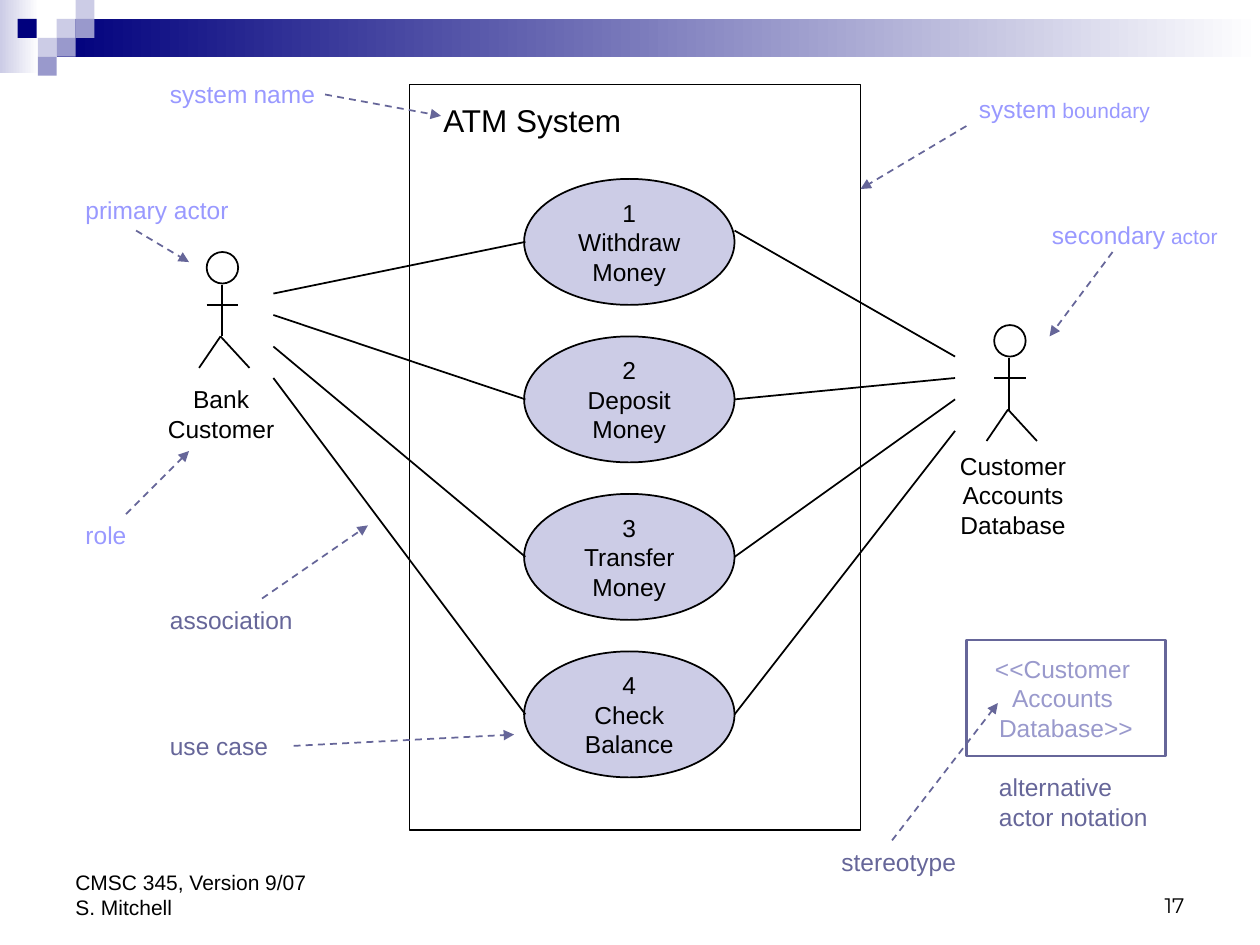
from pptx import Presentation
from pptx.dml.color import RGBColor
from pptx.enum.dml import MSO_LINE_DASH_STYLE as Dash
from pptx.enum.shapes import MSO_CONNECTOR as Conn, MSO_SHAPE as Kind
from pptx.enum.text import MSO_ANCHOR as Anchor, PP_ALIGN as Align
from pptx.oxml.ns import qn
from pptx.util import Pt
from lxml.etree import SubElement

PX = 9144
HEX = {"ink": "000000", "navy": "00007D", "pale": "CCCCE6", "mid": "9999CC",
       "slate": "666699", "lilac": "9999FF", "white": "FFFFFF"}
CASES = ["Withdraw Money", "Deposit Money", "Transfer Money", "Check Balance"]


def tint(name):
    """Return the named colour."""
    return RGBColor.from_string(HEX[name])


def shape(kit, kind, box, fill=None, edge=None, width=1):
    """Add a flat shape; a pair of fill names makes a gradient."""
    item = kit.add_shape(kind, *[n * PX for n in box])
    item.shadow.inherit = False
    if isinstance(fill, tuple):
        item.fill.gradient()
        item.fill.gradient_angle = 0
        for stop, name in zip(item.fill.gradient_stops, fill):
            stop.color.rgb = tint(name)
    elif fill:
        item.fill.solid()
        item.fill.fore_color.rgb = tint(fill)
    else:
        item.fill.background()
    if edge:
        item.line.color.rgb = tint(edge)
        item.line.width = Pt(width)
    else:
        item.line.fill.background()
    return item


def line(kit, ends, color="ink"):
    """Add a plain straight line."""
    item = kit.add_connector(Conn.STRAIGHT, *[n * PX for n in ends])
    item.line.color.rgb = tint(color)
    item.line.width = Pt(1)
    SubElement(item._element.spPr, qn("a:effectLst"))
    return item


def arrow(kit, ends):
    """Add a dashed callout arrow."""
    item = line(kit, ends, "slate")
    item.line.dash_style = Dash.DASH
    SubElement(item.line._get_or_add_ln(), qn("a:tailEnd"), type="triangle")


def write(item, lines, color="ink", size=14, align=Align.LEFT,
          anchor=Anchor.TOP, wrap=True, face="Arial"):
    """Fill a shape with lines, each a string or a list of sized runs."""
    frame = item.text_frame
    frame.word_wrap = wrap
    frame.vertical_anchor = anchor
    for i, text in enumerate(lines):
        para = frame.add_paragraph() if i else frame.paragraphs[0]
        para.alignment = align
        para.font.name = face
        para.font.size = Pt(size)
        para.font.color.rgb = tint(color)
        runs = [(text, None)] if isinstance(text, str) else text
        for part, pts in runs:
            run = para.add_run()
            run.text = part
            if pts:
                run.font.size = Pt(pts)


def label(kit, box, lines, color="ink", **style):
    """Add a text box."""
    write(kit.add_textbox(*[n * PX for n in box]), lines, color, **style)


def banner(kit, x, y):
    """Draw the gradient band and its mosaic of squares."""
    shape(kit, Kind.RECTANGLE, (x, y, 31, 58), ("pale", "white"))
    shape(kit, Kind.RECTANGLE, (x + 45, y + 15, 955, 30), ("navy", "white"))
    tiles = [(45, 15, "pale"), (60, 0, "pale"), (60, 15, "mid"), (30, 30, "pale"),
             (14, 15, "navy"), (45, 30, "mid"), (30, 45, "mid")]
    for dx, dy, fill in tiles:
        shape(kit, Kind.RECTANGLE, (x + dx, y + dy, 15, 15), fill)


def footer(kit, x, y):
    """Place the course credit and the page number."""
    label(kit, (x + 667, y, 233, 50), ["17"], size=12, align=Align.RIGHT,
          anchor=Anchor.BOTTOM, face="Montserrat")
    label(kit, (x, y, 233, 52), ["CMSC 345, Version 9/07", "S. Mitchell"],
          size=12, anchor=Anchor.BOTTOM)


def system(kit, x, y):
    """Draw the system boundary, its name and the use cases."""
    for i, case in enumerate(CASES):
        oval = shape(kit, Kind.OVAL, (x + 91, y + 75 + 125 * i, 167, 100), "pale", "ink")
        write(oval, [str(i + 1), *case.split()], align=Align.CENTER,
              anchor=Anchor.MIDDLE, wrap=False)
    shape(kit, Kind.RECTANGLE, (x, y, 358, 592), edge="ink")
    label(kit, (x + 17, y + 8, 167, 40), ["ATM System"], size=18)


def actor(kit, x, y, box, role):
    """Draw a stick figure with its role below."""
    body = kit.add_group_shape().shapes
    shape(body, Kind.OVAL, (x + 6, y, 25, 25), edge="ink")
    limbs = [(18, 26, 18, 67), (17, 67, 40, 92), (17, 67, 0, 92), (6, 42, 31, 42)]
    for ax, ay, bx, by in limbs:
        line(body, (x + ax, y + ay, x + bx, y + by))
    label(kit, box, [role], align=Align.CENTER)


def links(kit, left, right):
    """Join both actors to the use cases."""
    starts, ends = (233, 250, 275, 300), (283, 300, 317, 342)
    for i, (a, b) in enumerate(zip(starts, ends)):
        mid = 192 + 125 * i
        line(kit, (left, a, 417, mid))
        line(kit, (583, mid if i else 183, right, b))


def notes(kit):
    """Place each callout with its arrow."""
    items = [
        ((58, 150, 150, 34), "primary actor", "lilac", (108, 183, 150, 208)),
        ((58, 408, 58, 34), "role", "lilac", (100, 408, 150, 358)),
        ((125, 58, 142, 34), [("system", 14), (" ", 12), ("name", 14)], "lilac",
         (258, 75, 350, 92)),
        ((767, 70, 167, 34), [("system", 14), (" boundary", 12)], "lilac",
         (767, 100, 683, 150)),
        ((825, 170, 158, 34), [("secondary", 14), (" actor", 12)], "lilac",
         (883, 200, 833, 267)),
        ((125, 575, 100, 34), "use case", "slate", (233, 592, 408, 583)),
        ((658, 667, 117, 34), "stereotype", "slate", (708, 667, 792, 558)),
        ((125, 475, 125, 34), "association", "slate", (208, 475, 292, 417)),
    ]
    for box, text, color, ends in items:
        label(kit, box, [text], color)
        arrow(kit, ends)


def option(kit, x, y):
    """Draw the boxed actor notation and its caption."""
    card = shape(kit, Kind.RECTANGLE, (x, y, 158, 92), edge="slate", width=1.5)
    write(card, ["<<Customer ", "Accounts ", "Database>>"], "mid",
          align=Align.CENTER, anchor=Anchor.MIDDLE, wrap=False)
    label(kit, (x + 16, y + 100, 142, 57), ["alternative actor notation"], "slate")


def main():
    """Build and save the slide."""
    deck = Presentation()
    deck.slide_width, deck.slide_height = 1000 * PX, 750 * PX
    kit = deck.slides.add_slide(deck.slide_layouts[6]).shapes
    banner(kit, 0, 0)
    footer(kit, 50, 683)
    system(kit, 325, 67)
    actor(kit, 158, 200, (117, 300, 117, 57), "Bank Customer")
    actor(kit, 783, 258, (750, 353, 108, 80), "Customer Accounts Database")
    links(kit, 217, 758)
    option(kit, 767, 508)
    notes(kit)
    deck.save("out.pptx")


if __name__ == "__main__":
    main()
